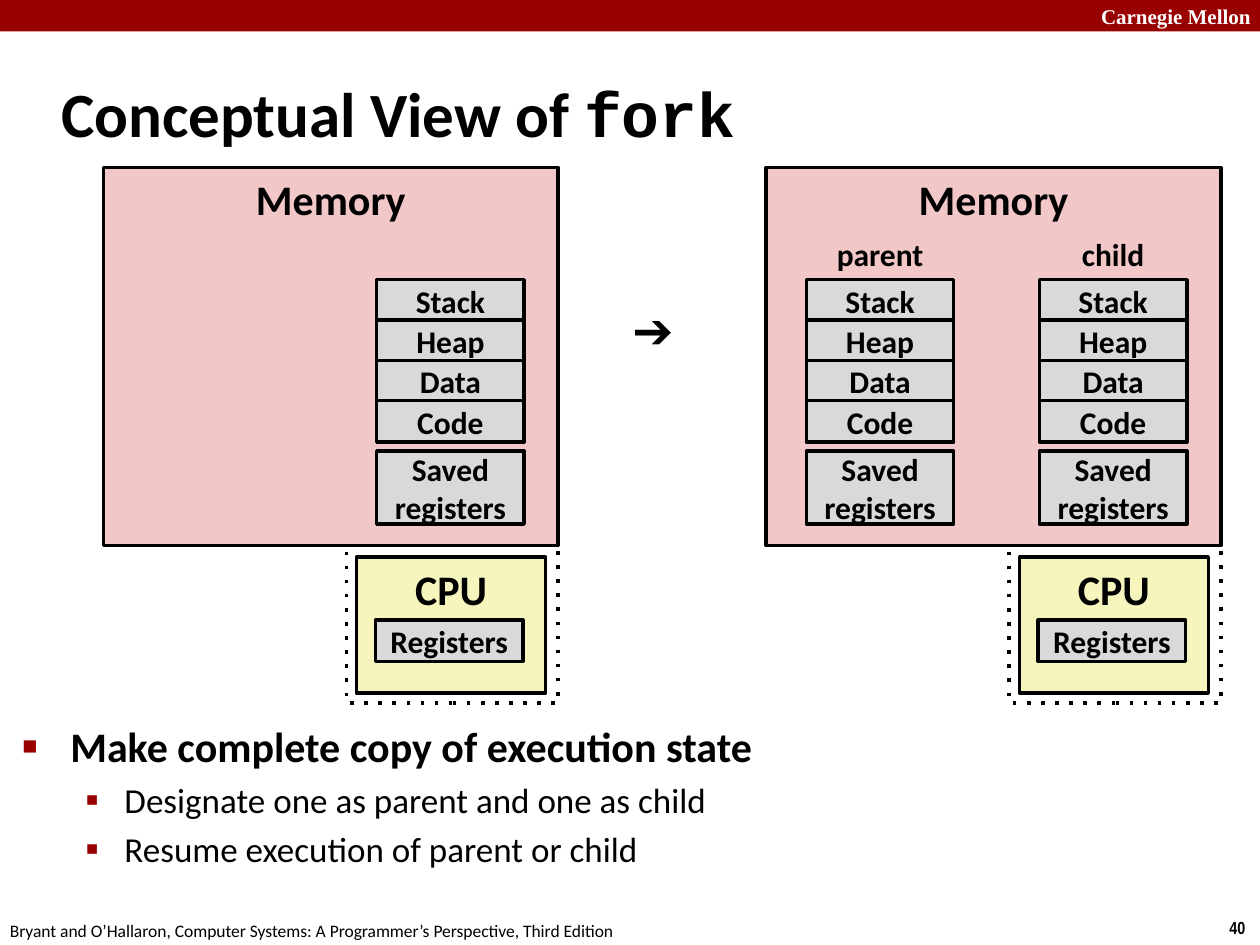
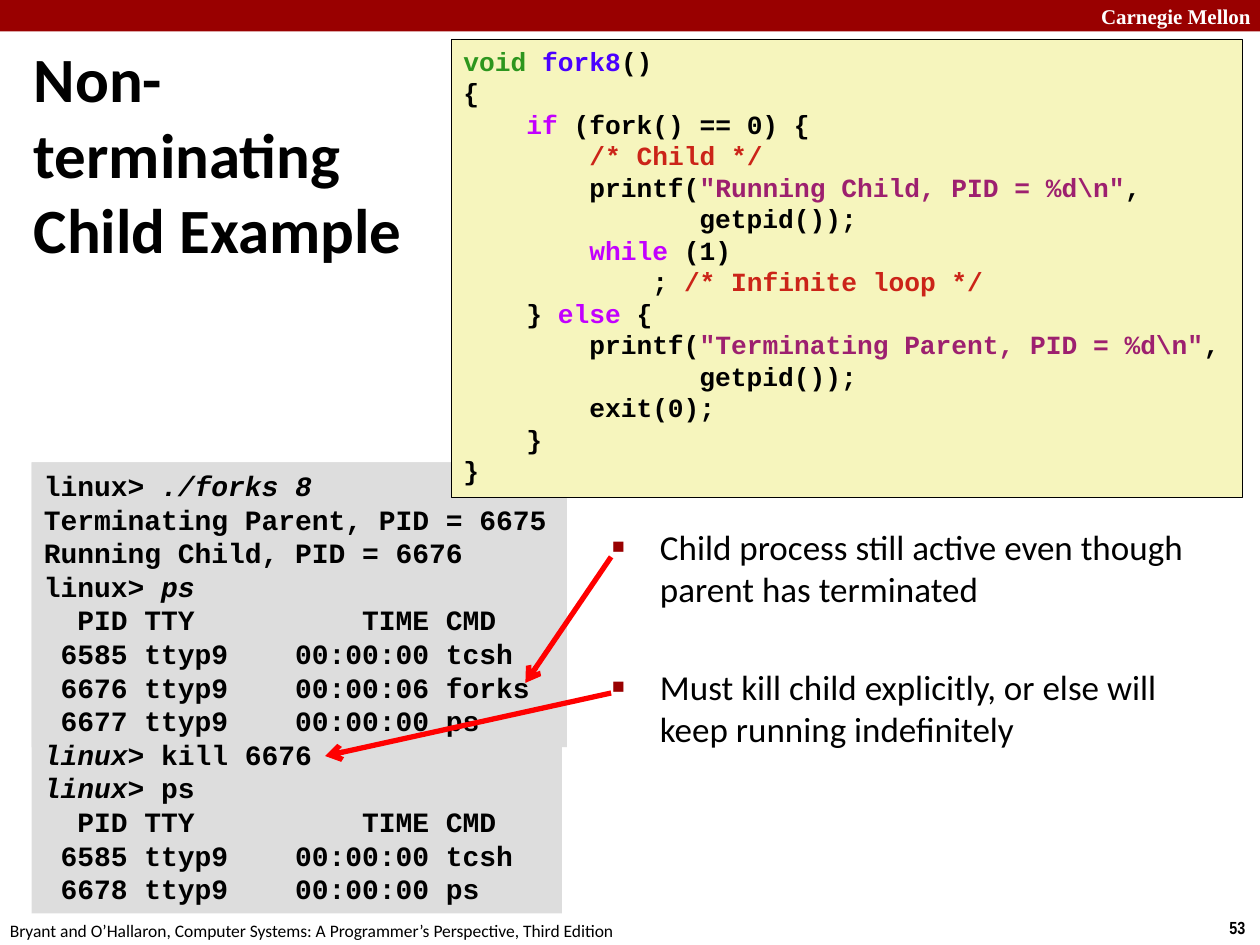
from lxml import etree
from pptx import Presentation
from pptx.dml.color import RGBColor
from pptx.enum.shapes import MSO_CONNECTOR, MSO_SHAPE
from pptx.enum.text import MSO_ANCHOR, PP_ALIGN
from pptx.oxml.ns import qn
from pptx.util import Inches, Pt

RECT, STRAIGHT = MSO_SHAPE.RECTANGLE, MSO_CONNECTOR.STRAIGHT
TOP, MIDDLE = MSO_ANCHOR.TOP, MSO_ANCHOR.MIDDLE
LEFT, CENTER = PP_ALIGN.LEFT, PP_ALIGN.CENTER

BLACK = RGBColor(0x00, 0x00, 0x00)
WHITE = RGBColor(0xFF, 0xFF, 0xFF)
CRIMSON = RGBColor(0x99, 0x00, 0x00)
PINK = RGBColor(0xF1, 0xC7, 0xC7)
CREAM = RGBColor(0xF6, 0xF5, 0xBD)
GREY = RGBColor(0xD9, 0xD9, 0xD9)
TERMINAL_GREY = RGBColor(0xDD, 0xDD, 0xDD)
ARROW_RED = RGBColor(0xFF, 0x00, 0x00)
TYPE_GREEN = RGBColor(0x2D, 0x96, 0x1E)
NAME_BLUE = RGBColor(0x4A, 0x00, 0xFF)
KEYWORD = RGBColor(0xC2, 0x00, 0xFF)
COMMENT = RGBColor(0xCB, 0x24, 0x18)
STRING = RGBColor(0x9D, 0x20, 0x6F)

SANS, MONO = "Calibri", "Courier New"
SLIDE_W, SLIDE_H = 10, 7.5

# ---- Content: a line is a list of (text, overrides) runs ----
BAND_TEXT = "Carnegie Mellon"
FOOTER = ("Bryant and O’Hallaron, Computer Systems: "
          "A Programmer’s Perspective, Third Edition")


def plain(text):
    return [(text, {})]


FORK_TITLE = [("Conceptual View of ", {}), ("fork", {"font": MONO})]
SEGMENTS = ["Stack", "Heap", "Data", "Code"]
SAVED = "Saved registers"
# machine: left edge, process columns (offset from the edge, label)
MACHINES = [
    (0.82, [(2.17, None)]),
    (6.08, [(0.32, "parent"), (2.17, "child")]),
]
# bullets: text, level, size, bold, space before
FORK_POINTS = [
    ("Make complete copy of execution state", 0, 24, True, 0),
    ("Designate one as parent and one as child", 1, 20, False, 4),
    ("Resume execution of parent or child", 1, 20, False, 4),
]

CHILD_TITLE = plain("Non-\vterminating\vChild Example")
CHILD_POINTS = [
    ("Child process still active even though parent has terminated",
     0, 20, False, 0),
    ("Must kill child explicitly, or else will keep running indefinitely",
     0, 20, False, 32),
]
ITALIC = {"italic": True}
TERMINAL = [
    [("linux> ", {}), ("./forks 8", ITALIC)],
    plain("Terminating Parent, PID = 6675"),
    plain("Running Child, PID = 6676"),
    [("linux> ", {}), ("ps", ITALIC)],
    plain("  PID TTY          TIME CMD"),
    plain(" 6585 ttyp9    00:00:00 tcsh"),
    plain(" 6676 ttyp9    00:00:06 forks"),
    plain(" 6677 ttyp9    00:00:00 ps"),
    [("linux>", ITALIC), (" kill 6676", {})],
    [("linux> ", ITALIC), ("ps", {})],
    plain("  PID TTY          TIME CMD"),
    plain(" 6585 ttyp9    00:00:00 tcsh"),
    plain(" 6678 ttyp9    00:00:00 ps"),
]


def ink(text, color):
    return text, {"color": color}


CODE = [
    [ink("void ", TYPE_GREEN), ink("fork8", NAME_BLUE), ("()", {})],
    plain("{"),
    [("    ", {}), ink("if", KEYWORD), (" (fork() == 0) {", {})],
    [("        ", {}), ink("/* Child */", COMMENT)],
    [("        printf(", {}), ink('"Running Child, PID = %d\\n"', STRING), (",", {})],
    plain("               getpid());"),
    [("        ", {}), ink("while", KEYWORD), (" (1)", {})],
    [("            ; ", {}), ink("/* Infinite loop */", COMMENT)],
    [("    } ", {}), ink("else", KEYWORD), (" {", {})],
    [("        printf(", {}), ink('"Terminating Parent, PID = %d\\n"', STRING), (",", {})],
    plain("               getpid());"),
    plain("        exit(0);"),
    plain("    }"),
    plain("}"),
]
# arrows from a bullet to the terminal line it explains
ARROWS = [((4.85, 4.42), (4.17, 5.42)), ((4.85, 5.5), (2.58, 6))]


# ---- Helpers ----
def style(font, size, name=SANS, color=BLACK, bold=False, italic=False):
    font.size, font.name = Pt(size), name
    font.bold, font.italic = bold, italic
    font.color.rgb = color


def write(sp, lines, size, font=SANS, color=BLACK, bold=True,
          align=LEFT, anchor=TOP):
    tf = sp.text_frame
    tf.word_wrap, tf.vertical_anchor = True, anchor
    if align == LEFT:
        tf.margin_right = 0
    for i, line in enumerate(lines):
        p = tf.add_paragraph() if i else tf.paragraphs[0]
        p.alignment = align
        if len(line) == 1:
            p.text = line[0][0]
        else:
            for text, _ in line:
                p.add_run().text = text
        overrides = [o for _, o in line] if len(line) > 1 else [line[0][1]] * len(p.runs)
        for r, o in zip(p.runs, overrides):
            style(r.font, size, o.get("font", font), o.get("color", color),
                  bold, o.get("italic", False))


def text_box(slide, at, lines, size, **look):
    sp = slide.shapes.add_textbox(*map(Inches, at))
    write(sp, lines, size, **look)
    return sp


def box(slide, at, fill=None, line_width=2, dotted=False):
    sp = slide.shapes.add_shape(RECT, *map(Inches, at))
    sp.shadow.inherit = False
    if fill is None:
        sp.fill.background()
    else:
        sp.fill.solid()
        sp.fill.fore_color.rgb = fill
    if line_width:
        sp.line.color.rgb = BLACK
        sp.line.width = Pt(line_width)
    else:
        sp.line.fill.background()
    if dotted:
        ln = sp._element.spPr.find(qn("a:ln"))
        etree.SubElement(ln, qn("a:prstDash"), val="dot")
    return sp


def label_box(slide, at, fill, text, size, anchor=TOP):
    write(box(slide, at, fill), [plain(text)], size, align=CENTER, anchor=anchor)


def arrow(slide, start, end):
    ends = [Inches(v) for v in start + end]
    cn = slide.shapes.add_connector(STRAIGHT, *ends)
    cn.line.color.rgb, cn.line.width = ARROW_RED, Pt(3)
    sp_pr = cn._element.spPr
    etree.SubElement(sp_pr.find(qn("a:ln")), qn("a:tailEnd"), type="arrow")
    etree.SubElement(sp_pr, qn("a:effectLst"))


def bullets(slide, at, points):
    marks = [("■", 60, 0.38, 0.38), ("▪", 110, 0.81, 0.31)]
    tf = slide.shapes.add_textbox(*map(Inches, at)).text_frame
    tf.word_wrap = True
    for i, (text, level, size, bold, before) in enumerate(points):
        p = tf.add_paragraph() if i else tf.paragraphs[0]
        p.text = text
        p.level = level
        p.space_before = Pt(before)
        char, percent, margin, hang = marks[level]
        p_pr = p._p.get_or_add_pPr()
        p_pr.set("marL", str(Inches(margin)))
        p_pr.set("indent", str(-Inches(hang)))
        bu_color = etree.SubElement(p_pr, qn("a:buClr"))
        etree.SubElement(bu_color, qn("a:srgbClr"), val=str(CRIMSON))
        etree.SubElement(p_pr, qn("a:buSzPct"), val=str(percent * 1000))
        etree.SubElement(p_pr, qn("a:buFont"), typeface="Arial")
        etree.SubElement(p_pr, qn("a:buChar"), char=char)
        style(p.runs[0].font, size, bold=bold)


def new_slide(prs, number):
    slide = prs.slides.add_slide(prs.slide_layouts[6])
    box(slide, (0, 0, SLIDE_W, 0.25), CRIMSON, line_width=0)
    text_box(slide, (8.64, 0, 1.36, 0.25), [plain(BAND_TEXT)], 12,
             font="Times New Roman", color=WHITE, anchor=MIDDLE)
    text_box(slide, (9.66, 7.23, 0.34, 0.27), [plain(str(number))], 10,
             font="Arial Narrow")
    text_box(slide, (-0.02, 7.25, 5.3, 0.25), [plain(FOOTER)], 10, bold=False)
    return slide


def title(slide, at, line):
    text_box(slide, at, [line], 36, anchor=MIDDLE)


# ---- Diagram parts ----
BLOCK_W, BLOCK_H, BLOCK_STEP = 1.17, 0.33, 0.32
MEMORY_TOP, STACK_TOP = 1.33, 2.22


def process(slide, x, label):
    for i, name in enumerate(SEGMENTS):
        label_box(slide, (x, STACK_TOP + i * BLOCK_STEP, BLOCK_W, BLOCK_H),
                  GREY, name, 18, MIDDLE)
    label_box(slide, (x, 3.58, BLOCK_W, 0.58), GREY, SAVED, 18, MIDDLE)
    if label:
        text_box(slide, (x, STACK_TOP - 0.4, BLOCK_W, 0.4), [plain(label)],
                 18, align=CENTER)


def machine(slide, x, processes):
    box(slide, (x + 1.93, 1.82, 1.68, 3.76), dotted=True)
    label_box(slide, (x + 2.01, 4.42, 1.5, 1.08), CREAM, "CPU", 24)
    label_box(slide, (x + 2.16, 4.92, BLOCK_W, BLOCK_H), GREY,
              "Registers", 18, MIDDLE)
    label_box(slide, (x, MEMORY_TOP, 3.61, 3), PINK, "Memory", 24)
    for offset, label in processes:
        process(slide, x + offset, label)


# ---- Slides ----
def fork_slide(prs):
    slide = new_slide(prs, 40)
    title(slide, (0.39, 0.48, 8.3, 0.83), FORK_TITLE)
    bullets(slide, (0.08, 5.67, 8.64, 1.45), FORK_POINTS)
    for x, processes in MACHINES:
        machine(slide, x, processes)
    text_box(slide, (4.92, 2.33, 0.62, 0.57), [plain("➔")], 28, font="Arial")


def child_slide(prs):
    slide = new_slide(prs, 53)
    title(slide, (0.17, 0.33, 4, 1.77), CHILD_TITLE)
    bullets(slide, (4.76, 4.12, 4.74, 2.97), CHILD_POINTS)
    # the upper part of the terminal is slightly wider
    box(slide, (0.25, 3.67, 4.25, 2.26), TERMINAL_GREY, line_width=0)
    terminal = box(slide, (0.25, 3.67, 4.21, 3.58), TERMINAL_GREY, line_width=0)
    write(terminal, TERMINAL, 16, font=MONO)
    code = box(slide, (3.58, 0.31, 6.28, 3.64), CREAM, line_width=0.25)
    write(code, CODE, 15, font=MONO)
    for start, end in ARROWS:
        arrow(slide, start, end)


def main():
    prs = Presentation()
    prs.slide_width, prs.slide_height = Inches(SLIDE_W), Inches(SLIDE_H)
    fork_slide(prs)
    child_slide(prs)
    prs.save("out.pptx")


if __name__ == "__main__":
    main()
